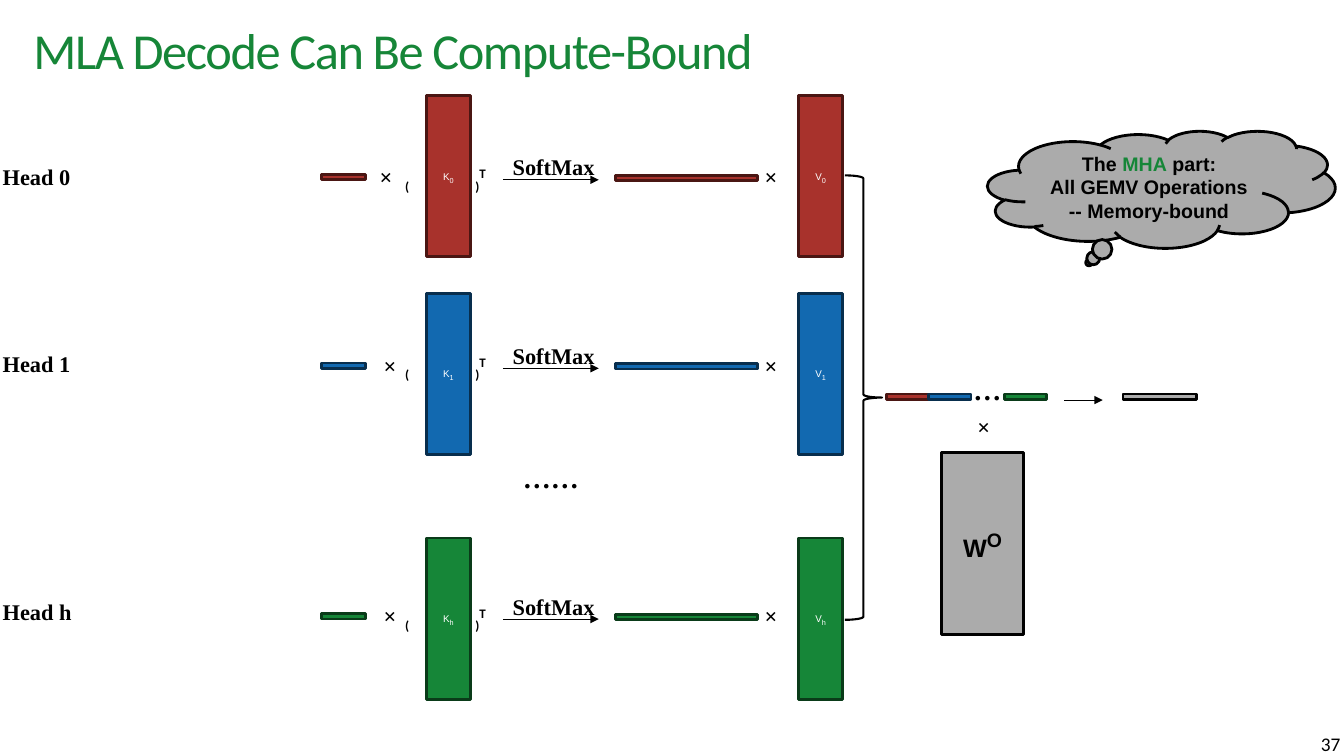
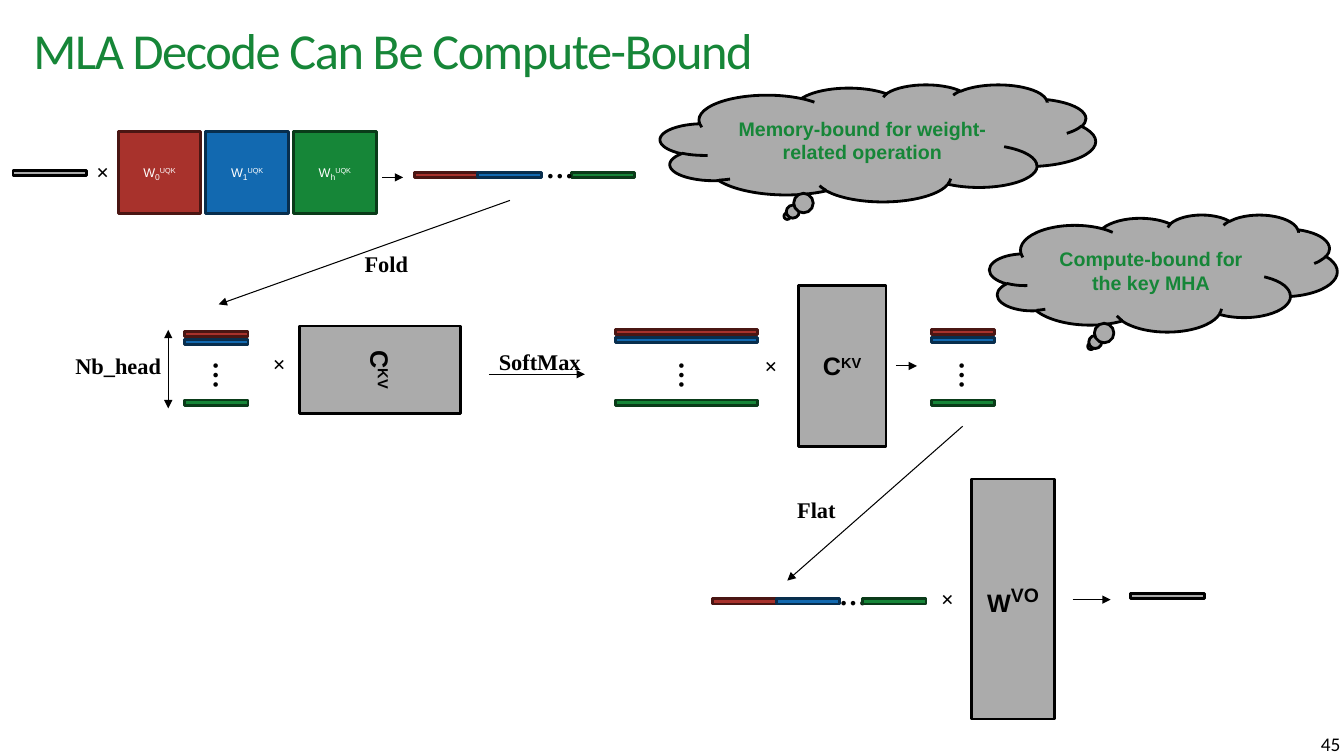
from dataclasses import dataclass
from typing import Optional

from lxml.etree import SubElement
from pptx import Presentation
from pptx.dml.color import RGBColor
from pptx.enum.shapes import MSO_CONNECTOR, MSO_SHAPE
from pptx.enum.text import MSO_ANCHOR, MSO_AUTO_SIZE, PP_ALIGN
from pptx.oxml.ns import qn
from pptx.shapes.autoshape import Shape
from pptx.slide import Slide
from pptx.text.text import TextFrame
from pptx.util import Cm, Pt

BLACK = RGBColor(0x00, 0x00, 0x00)
WHITE = RGBColor(0xFF, 0xFF, 0xFF)
GREEN_FILL = RGBColor(0x16, 0x86, 0x38)


@dataclass(frozen=True)
class Tone:
    """Fill and outline of one kind of matrix."""
    fill: RGBColor
    outline: RGBColor


@dataclass(frozen=True)
class TextStyle:
    """Font shared by all runs of a paragraph."""
    font: str
    size: float
    color: RGBColor = BLACK
    bold: bool = True


@dataclass(frozen=True)
class Part:
    """Run of text with what differs from its paragraph."""
    text: str
    size: Optional[float] = None
    baseline: int = 0
    color: Optional[RGBColor] = None


@dataclass(frozen=True)
class Head:
    """One attention head, with the heights of its row in cm."""
    index: str
    tone: Tone
    row: float
    name_top: float
    matrix_top: float
    times_left: float


@dataclass(frozen=True)
class Strip:
    """Head vectors laid end to end, in cm."""
    left: float
    top: float
    width: float
    dots_left: float
    last_left: float
    dots_in_front: bool = True


@dataclass(frozen=True)
class Stack:
    """Head vectors laid one above the other, in cm."""
    left: float
    top: float
    width: float
    dots_left: float


RED = Tone(RGBColor(0xA8, 0x32, 0x2C), RGBColor(0x4A, 0x16, 0x13))
BLUE = Tone(RGBColor(0x12, 0x69, 0xB0), RGBColor(0x08, 0x2E, 0x4D))
GREEN = Tone(GREEN_FILL, RGBColor(0x0A, 0x3B, 0x19))
GRAY = Tone(RGBColor(0xAB, 0xAB, 0xAB), BLACK)

LABEL = TextStyle("Times New Roman", 16)
DOTS = TextStyle("Times New Roman", 20)
PAREN = TextStyle("Calibri", 16)
PAGE = TextStyle("Calibri", 13.8, bold=False)
TITLE = TextStyle("Calibri", 36, GREEN_FILL, False)
CACHE = TextStyle("Arial", 7, WHITE, False)
UP_WEIGHT = TextStyle("Arial", 9, WHITE, False)
WEIGHT = TextStyle("Arial", 18)
THOUGHT = TextStyle("Arial", 14)
GREEN_THOUGHT = TextStyle("Arial", 14, GREEN_FILL)

BAR_HEIGHT = 0.13
OUTPUT_WIDTH = 1.85
LONG_WIDTH = 3.58
SHORT_WIDTH = 1.6
MATRIX_HEIGHT = 4.06
CACHE_WIDTH = 1.12
LATENT_WIDTH = 2.21
WEIGHT_WIDTH = 2.08

HEADS = (
    Head("0", RED, 3.99, 3.99, 2.41, 9.32),
    Head("1", BLUE, 8.74, 8.69, 7.39, 9.42),
    Head("h", GREEN, 15.06, 14.94, 13.56, 9.42),
)
STACKS = (
    Stack(4.65, 8.36, SHORT_WIDTH, 5.05),
    Stack(15.52, 8.31, LONG_WIDTH, 16.79),
    Stack(23.47, 8.31, SHORT_WIDTH, 23.85),
)


def write(frame: TextFrame, lines: list[list[Part]], style: TextStyle,
          align: PP_ALIGN = PP_ALIGN.LEFT) -> None:
    """Fill a text frame, one paragraph per line."""
    frame.word_wrap = True
    for number, line in enumerate(lines):
        paragraph = frame.add_paragraph() if number else frame.paragraphs[0]
        paragraph.alignment = align
        paragraph.font.name = style.font
        paragraph.font.size = Pt(style.size)
        paragraph.font.bold = style.bold
        paragraph.font.color.rgb = style.color
        for part in line:
            run = paragraph.add_run()
            run.text = part.text
            if part.size:
                run.font.size = Pt(part.size)
            if part.color is not None:
                run.font.color.rgb = part.color
            if part.baseline:
                run._r.get_or_add_rPr().set("baseline", str(part.baseline * 1000))


def label(slide: Slide, parts: list[Part], left: float, top: float, width: float = 3.58,
          height: float = 0.94, style: TextStyle = LABEL, rotation: float = 0) -> None:
    """Add free text at a place given in cm."""
    box = slide.shapes.add_textbox(Cm(left), Cm(top), Cm(width), Cm(height))
    box.rotation = rotation
    write(box.text_frame, [parts], style)
    box.text_frame.margin_right = 0
    box.text_frame.auto_size = MSO_AUTO_SIZE.SHAPE_TO_FIT_TEXT


def times(slide: Slide, left: float, top: float) -> None:
    """Add a multiplication sign."""
    label(slide, [Part("×")], left, top, 0.81)


def dots(slide: Slide, left: float, top: float, rotation: float = 0) -> None:
    """Add the ellipsis between head vectors."""
    label(slide, [Part("…")], left, top, 1.22, 1.12, DOTS, rotation)


def block(slide: Slide, tone: Tone, left: float, top: float, width: float,
          height: float = BAR_HEIGHT, kind: MSO_SHAPE = MSO_SHAPE.RECTANGLE) -> Shape:
    """Add an outlined matrix, vector or cloud."""
    shape = slide.shapes.add_shape(kind, Cm(left), Cm(top), Cm(width), Cm(height))
    shape.shadow.inherit = False
    shape.fill.solid()
    shape.fill.fore_color.rgb = tone.fill
    shape.line.color.rgb = tone.outline
    shape.line.width = Pt(2)
    return shape


def matrix(slide: Slide, tone: Tone, left: float, top: float, width: float, height: float,
           parts: list[Part], style: TextStyle = WEIGHT, rotation: float = 0) -> None:
    """Add a matrix with its symbol in the middle."""
    shape = block(slide, tone, left, top, width, height)
    shape.rotation = rotation
    shape.text_frame.vertical_anchor = MSO_ANCHOR.MIDDLE
    write(shape.text_frame, [parts], style, PP_ALIGN.CENTER)


def cloud(slide: Slide, left: float, top: float, width: float,
          lines: list[list[Part]], style: TextStyle) -> None:
    """Add a thought cloud."""
    shape = block(slide, GRAY, left, top, width, 2.95, MSO_SHAPE.CLOUD_CALLOUT)
    shape.text_frame.vertical_anchor = MSO_ANCHOR.MIDDLE
    write(shape.text_frame, lines, style, PP_ALIGN.CENTER)


def arrow(slide: Slide, x1: float, y1: float, x2: float, y2: float,
          both_ends: bool = False) -> None:
    """Add a thin arrow, pointed at its end or at both ends."""
    connector = slide.shapes.add_connector(
        MSO_CONNECTOR.STRAIGHT, Cm(x1), Cm(y1), Cm(x2), Cm(y2))
    connector.line.color.rgb = BLACK
    connector.line.width = Pt(0.75)
    outline = connector.line._get_or_add_ln()
    for end in ("a:headEnd", "a:tailEnd") if both_ends else ("a:tailEnd",):
        SubElement(outline, qn(end)).set("type", "triangle")
    SubElement(connector._element.spPr, qn("a:effectLst"))


def softmax(slide: Slide, left: float, top: float) -> None:
    """Add the SoftMax arrow with its caption."""
    arrow(slide, left, top + 0.79, left + 2.42, top + 0.79)
    label(slide, [Part("SoftMax")], left, top)


def draw_strip(slide: Slide, strip: Strip) -> None:
    """Draw head vectors end to end."""
    dots_top = strip.top - 0.67
    if not strip.dots_in_front:
        dots(slide, strip.dots_left, dots_top)
    lefts = (strip.left, strip.left + strip.width, strip.last_left)
    for head, left in zip(HEADS, lefts):
        block(slide, head.tone, left, strip.top, strip.width)
    if strip.dots_in_front:
        dots(slide, strip.dots_left, dots_top)


def draw_stack(slide: Slide, stack: Stack) -> None:
    """Draw head vectors one above the other."""
    for head, top in zip(HEADS, (stack.top, stack.top + 0.19, 10.08)):
        block(slide, head.tone, stack.left, top, stack.width)
    dots(slide, stack.dots_left, 8.91, 90)


def draw_head(slide: Slide, head: Head) -> None:
    """Draw the attention row of one head."""
    row = head.row
    label(slide, [Part(f"Head {head.index}")], -0.18, head.name_top)
    block(slide, head.tone, 8.1, row + 0.41, CACHE_WIDTH)
    times(slide, head.times_left, row)
    label(slide, [Part("(", baseline=-25)], 9.96, row, 0.81, 0.71, PAREN)
    label(slide, [Part(")", baseline=-25), Part("T", baseline=30)],
          11.73, row, 0.81, 0.71, PAREN)
    for symbol, left in (("K", 10.74), ("V", 20.12)):
        matrix(slide, head.tone, left, head.matrix_top, CACHE_WIDTH, MATRIX_HEIGHT,
               [Part(symbol), Part(head.index, 9, -25)], CACHE)
    softmax(slide, 12.67, row - 0.25)
    block(slide, head.tone, 15.52, row + 0.43, LONG_WIDTH)
    times(slide, 19.02, row)


def new_slide(deck: Presentation, page: str) -> Slide:
    """Add a slide with the shared title and its page number."""
    slide = deck.slides.add_slide(deck.slide_layouts[5])
    title = slide.shapes.title
    title.left, title.top, title.width, title.height = Cm(0.84), Cm(0.48), Cm(32.33), Cm(1.73)
    frame = title.text_frame
    frame.margin_left = frame.margin_top = frame.margin_right = frame.margin_bottom = 0
    frame.vertical_anchor = MSO_ANCHOR.MIDDLE
    frame.auto_size = MSO_AUTO_SIZE.NONE
    write(frame, [[Part("MLA Decode Can Be Compute-Bound")]], TITLE)
    heading = frame.paragraphs[0]
    heading.line_spacing = 0.9
    heading.runs[0]._r.get_or_add_rPr().set("spc", "-100")
    number = slide.shapes.add_textbox(Cm(31.67), Cm(18.29), Cm(2.36), Cm(0.86))
    number.text_frame.vertical_anchor = MSO_ANCHOR.BOTTOM
    write(number.text_frame, [[Part(page)]], PAGE, PP_ALIGN.RIGHT)
    return slide


def build_per_head(deck: Presentation) -> None:
    """Build the slide with one attention row per head."""
    slide = new_slide(deck, "37")
    for head in HEADS:
        draw_head(slide, head)
    label(slide, [Part("……")], 12.93, 11.48, 3.68, 1.12, DOTS)
    brace = block(slide, GRAY, 21.29, 4.42, 0.94, 11.2, MSO_SHAPE.RIGHT_BRACE)
    brace.fill.background()
    brace.line.width = Pt(1.5)
    draw_strip(slide, Strip(22.35, 9.93, 1.06, 24.28, 25.32))
    times(slide, 24.38, 10.29)
    matrix(slide, GRAY, 23.72, 11.4, WEIGHT_WIDTH, 4.6, [Part("W"), Part("O", 24, 30)])
    arrow(slide, 26.82, 10.08, 27.79, 10.08)
    block(slide, GRAY, 28.3, 9.93, OUTPUT_WIDTH)
    cloud(slide, 24.89, 3.3, 8.76, [
        [Part("The "), Part("MHA", color=GREEN_FILL), Part(" part:")],
        [Part("All GEMV Operations")],
        [Part("-- Memory-bound")],
    ], THOUGHT)


def build_folded(deck: Presentation) -> None:
    """Build the slide with all heads folded into one product."""
    slide = new_slide(deck, "45")
    block(slide, GRAY, 0.33, 4.29, OUTPUT_WIDTH)
    times(slide, 2.18, 3.86)
    for number, head in enumerate(HEADS):
        matrix(slide, head.tone, 2.98 + 2.21 * number, 3.31, WEIGHT_WIDTH, WEIGHT_WIDTH,
               [Part("W"), Part(head.index, 10.5, -25), Part("UQK", baseline=30)], UP_WEIGHT)
    draw_strip(slide, Strip(10.44, 4.34, SHORT_WIDTH, 13.51, 14.4))
    draw_strip(slide, Strip(17.96, 15.09, SHORT_WIDTH, 20.9, 21.74, dots_in_front=False))
    for stack in STACKS:
        draw_stack(slide, stack)
    latent = [Part("C"), Part("KV", baseline=30)]
    matrix(slide, GRAY, 8.48, 7.29, LATENT_WIDTH, MATRIX_HEIGHT, latent, rotation=90)
    matrix(slide, GRAY, 20.12, 7.19, LATENT_WIDTH, MATRIX_HEIGHT, latent)
    matrix(slide, GRAY, 24.49, 12.07, WEIGHT_WIDTH, 6.05, [Part("W"), Part("VO", 24, 30)])
    for left, top in ((6.63, 8.71), (19.02, 8.74), (23.47, 14.61)):
        times(slide, left, top)
    for start, end, y in ((9.63, 10.16, 4.47), (22.58, 23.11, 9.22), (27.03, 27.99, 15.11)):
        arrow(slide, start, y, end, y)
    arrow(slide, 4.24, 8.31, 4.24, 10.29, both_ends=True)
    arrow(slide, 12.85, 5.05, 5.51, 7.67)
    arrow(slide, 24.26, 10.74, 19.84, 14.63)
    softmax(slide, 12.32, 8.64)
    for text, left, top in (("Fold", 8.94, 6.17), ("Flat", 19.84, 12.37), ("Nb_head", 1.65, 8.76)):
        label(slide, [Part(text)], left, top)
    block(slide, GRAY, 28.5, 14.96, OUTPUT_WIDTH)
    cloud(slide, 16.64, 2.13, 10.97, [[Part("Memory-bound for weight-related operation")]],
          GREEN_THOUGHT)
    cloud(slide, 24.94, 5.41, 8.76, [[Part("Compute-bound for the key MHA")]], GREEN_THOUGHT)


def main() -> None:
    """Build and save the deck."""
    deck = Presentation()
    deck.slide_width, deck.slide_height = Cm(33.87), Cm(19.05)
    build_per_head(deck)
    build_folded(deck)
    deck.save("out.pptx")


if __name__ == "__main__":
    main()
